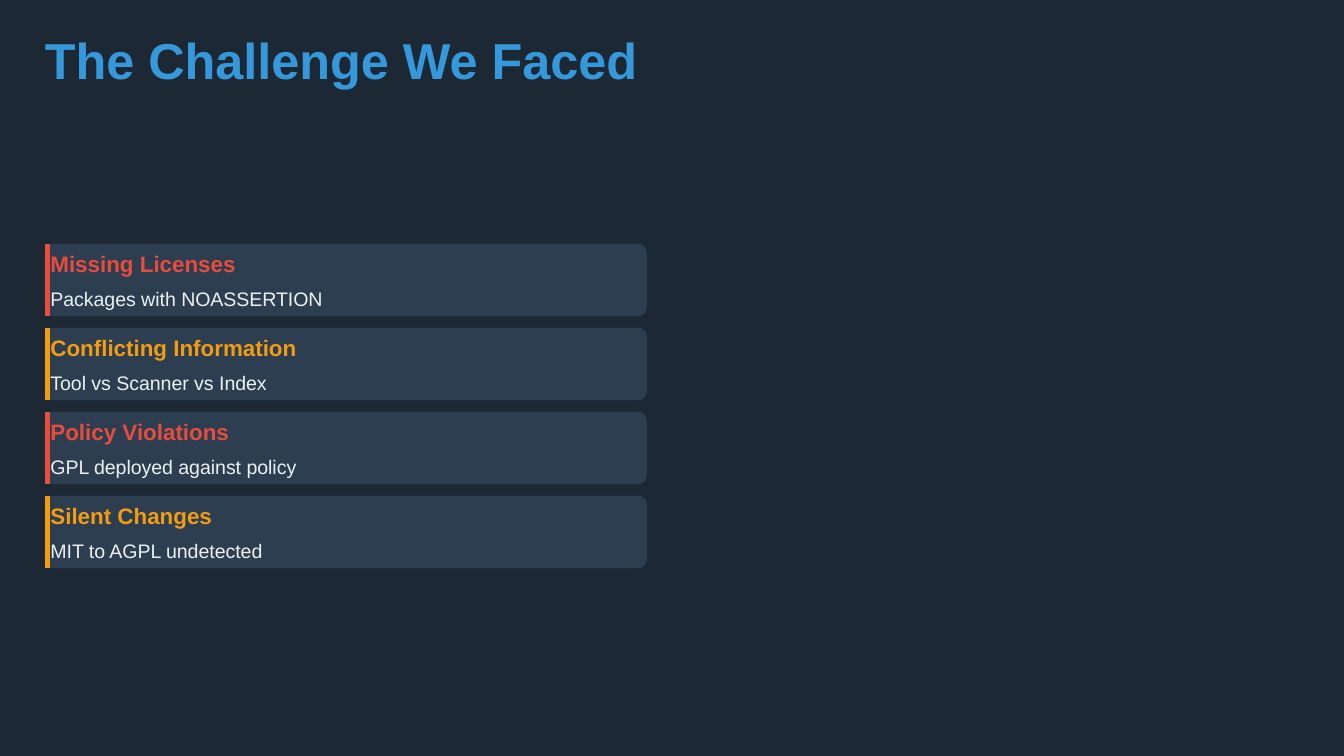
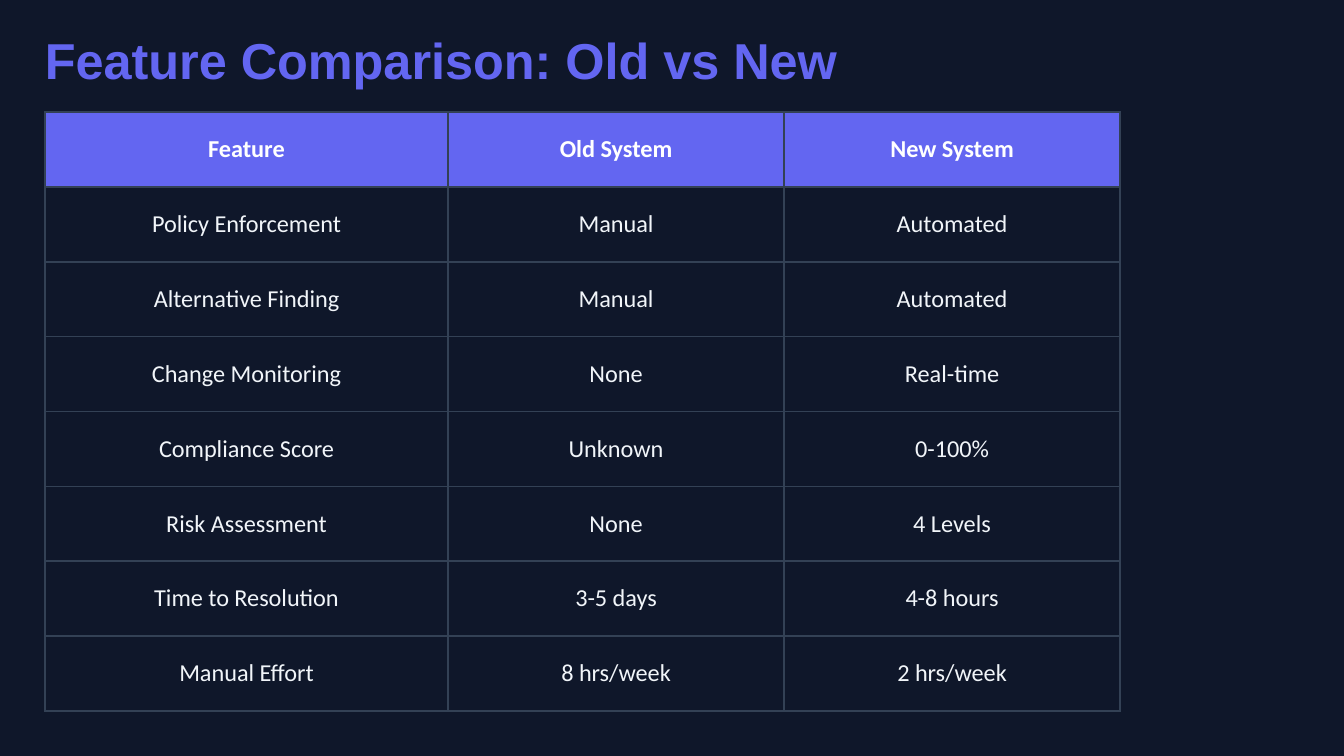
from dataclasses import dataclass

from lxml.etree import SubElement
from pptx import Presentation
from pptx.dml.color import RGBColor
from pptx.enum.shapes import MSO_CONNECTOR as Connector, MSO_SHAPE as Shape
from pptx.enum.text import MSO_ANCHOR as Anchor, PP_ALIGN as Align
from pptx.oxml.ns import qn
from pptx.util import Pt


@dataclass(frozen=True)
class Theme:
    slate: str = "1C2833"
    navy: str = "0F172A"
    blue: str = "3498DB"
    indigo: str = "6366F1"
    card: str = "2C3E50"
    red: str = "E74C3C"
    amber: str = "F39C12"
    card_text: str = "ECF0F1"
    white: str = "FFFFFF"
    cell_text: str = "F1F5F9"
    border: str = "334155"
    font: str = "Arial"
    table_font: str = "Calibri"
    title_size: float = 27
    heading_size: float = 12
    body_size: float = 10.5
    table_size: float = 13
    margin: float = 24


def rgb(color):
    return RGBColor.from_string(color)


class Deck:
    """Holds the theme, the presentation and the slide being built."""

    def __init__(self, theme):
        self.theme = theme
        self.presentation = Presentation()
        self.presentation.slide_width = Pt(720)
        self.presentation.slide_height = Pt(405)
        self.slide = None

    def new_slide(self, title, background, accent, title_width):
        self.slide = self.presentation.slides.add_slide(self.presentation.slide_layouts[6])
        fill = self.slide.background.fill
        fill.solid()
        fill.fore_color.rgb = rgb(background)
        self.text(title, self.theme.margin, 18, title_width, 30,
                  self.theme.title_size, accent, bold=True)

    def run(self, paragraph, words, font, size, color, bold):
        run = paragraph.add_run()
        run.text = words
        run.font.name = font
        run.font.size = Pt(size)
        run.font.bold = bold
        run.font.color.rgb = rgb(color)

    def text(self, words, left, top, width, height, size, color,
             bold=False, before=0, after=0):
        box = self.slide.shapes.add_textbox(Pt(left), Pt(top), Pt(width), Pt(height))
        frame = box.text_frame
        frame.word_wrap = True
        frame.margin_left = frame.margin_top = frame.margin_right = frame.margin_bottom = 0
        paragraph = frame.paragraphs[0]
        paragraph.line_spacing = Pt(height)
        paragraph.space_before = Pt(before)
        paragraph.space_after = Pt(after)
        self.run(paragraph, words, self.theme.font, size, color, bold)

    def panel(self, left, top, width, height, color):
        shape = self.slide.shapes.add_shape(
            Shape.ROUNDED_RECTANGLE, Pt(left), Pt(top), Pt(width), Pt(height))
        shape.adjustments[0] = 0.12
        shape.shadow.inherit = False
        shape.fill.solid()
        shape.fill.fore_color.rgb = rgb(color)
        shape.line.fill.background()

    def vertical_line(self, x, top, height, color, weight):
        connector = self.slide.shapes.add_connector(
            Connector.STRAIGHT, Pt(x), Pt(top), Pt(x), Pt(top + height))
        connector.line.color.rgb = rgb(color)
        connector.line.width = Pt(weight)
        SubElement(connector._element.spPr, qn("a:effectLst"))

    def card(self, heading, body, top, accent):
        theme, left, height, bar = self.theme, self.theme.margin, 39, 3
        self.panel(left, top, 322.5, height, theme.card)
        self.vertical_line(left + bar / 2, top, height, accent, bar)
        self.text(heading, left + bar, top, 326, 18, theme.heading_size, accent,
                  bold=True, after=3)
        self.text(body, left + bar, top + 21, 326, 15, theme.body_size, theme.card_text,
                  before=3, after=3)

    def border(self, cell):
        properties = cell._tc.get_or_add_tcPr()
        for index, side in enumerate(("a:lnL", "a:lnR", "a:lnT", "a:lnB")):
            line = properties.makeelement(qn(side), {"w": str(Pt(1))})
            fill = SubElement(line, qn("a:solidFill"))
            SubElement(fill, qn("a:srgbClr"), val=self.theme.border)
            properties.insert(index, line)

    def cell(self, cell, words, header):
        theme = self.theme
        if header:
            cell.fill.solid()
            cell.fill.fore_color.rgb = rgb(theme.indigo)
        else:
            cell.fill.background()
        self.border(cell)
        cell.vertical_anchor = Anchor.MIDDLE
        paragraph = cell.text_frame.paragraphs[0]
        paragraph.alignment = Align.CENTER
        self.run(paragraph, words, theme.table_font, theme.table_size,
                 theme.white if header else theme.cell_text, header)

    def table(self, rows, top, width, height, column_widths):
        frame = self.slide.shapes.add_table(
            len(rows), len(column_widths), Pt(self.theme.margin), Pt(top),
            Pt(width), Pt(height))
        table = frame.table
        table.first_row = table.horz_banding = False
        for column, column_width in zip(table.columns, column_widths):
            column.width = Pt(column_width)
        frame.width = Pt(width)
        for row_index, row in enumerate(rows):
            for column_index, words in enumerate(row):
                self.cell(table.cell(row_index, column_index), words, row_index == 0)


def challenge_slide(deck):
    theme = deck.theme
    deck.new_slide("The Challenge We Faced", theme.slate, theme.blue, 343.5)
    challenges = [
        ("Missing Licenses", "Packages with NOASSERTION", theme.red),
        ("Conflicting Information", "Tool vs Scanner vs Index", theme.amber),
        ("Policy Violations", "GPL deployed against policy", theme.red),
        ("Silent Changes", "MIT to AGPL undetected", theme.amber),
    ]
    for index, (heading, body, accent) in enumerate(challenges):
        deck.card(heading, body, 130.5 + 45 * index, accent)


def comparison_slide(deck):
    theme = deck.theme
    deck.new_slide("Feature Comparison: Old vs New", theme.navy, theme.indigo, 433.5)
    features = [
        ("Feature", "Old System", "New System"),
        ("Policy Enforcement", "Manual", "Automated"),
        ("Alternative Finding", "Manual", "Automated"),
        ("Change Monitoring", "None", "Real-time"),
        ("Compliance Score", "Unknown", "0-100%"),
        ("Risk Assessment", "None", "4 Levels"),
        ("Time to Resolution", "3-5 days", "4-8 hours"),
        ("Manual Effort", "8 hrs/week", "2 hrs/week"),
    ]
    deck.table(features, 60, 672, 321, (216, 180, 180))


def main():
    deck = Deck(Theme())
    challenge_slide(deck)
    comparison_slide(deck)
    deck.presentation.save("out.pptx")


if __name__ == "__main__":
    main()
